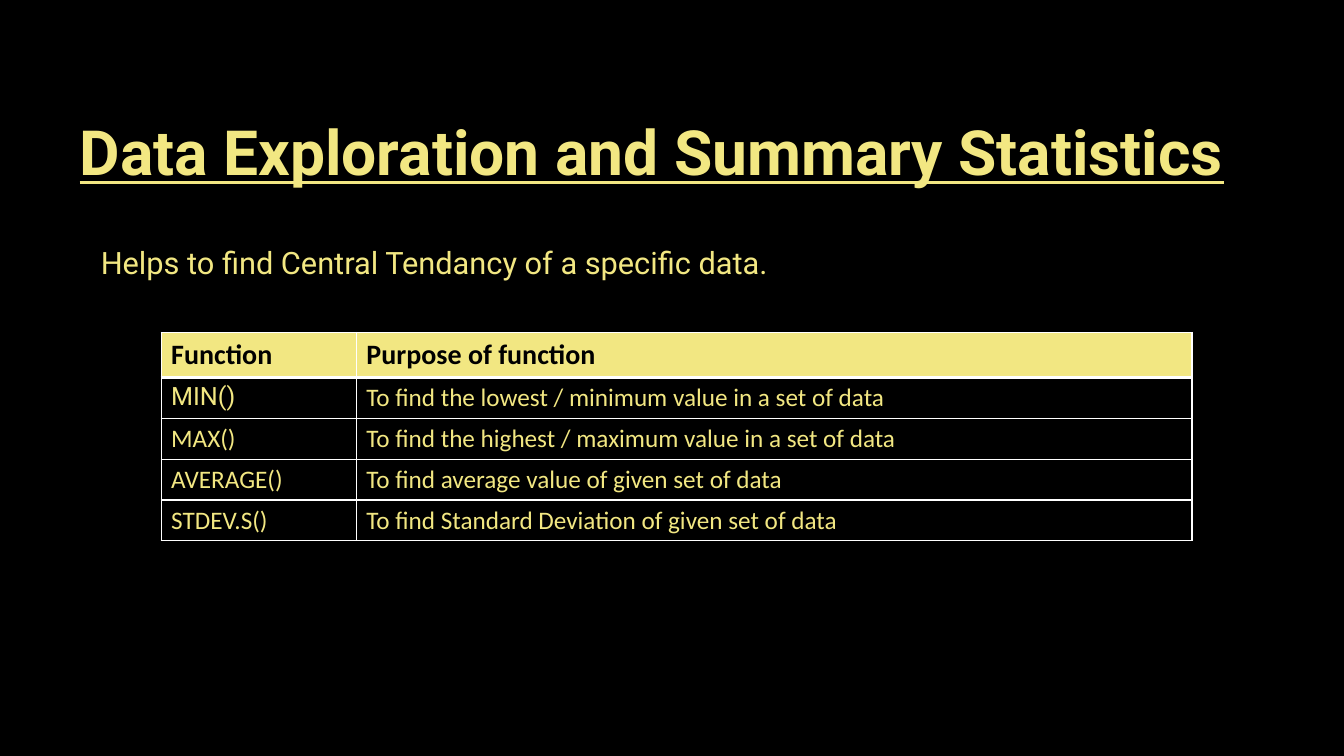
from lxml import etree
from pptx import Presentation
from pptx import util as u
from pptx.dml.color import RGBColor
from pptx.oxml import ns

YELLOW, BLACK, WHITE = "F2E782", "000000", "FFFFFF"
FUNCTIONS = [
    ("Function", "Purpose of function"),
    ("MIN()", "To find the lowest / minimum value in a set of data"),
    ("MAX()", "To find the highest / maximum value in a set of data"),
    ("AVERAGE()", "To find average value of given set of data"),
    ("STDEV.S()", "To find Standard Deviation of given set of data"),
]


def colour(value):
    return RGBColor.from_string(value)


def style(paragraph, face, size, ink, bold=False, underline=False):
    font = paragraph.runs[0].font
    font.name, font.size = face, u.Pt(size)
    font.bold, font.underline = bold, underline
    font.color.rgb = colour(ink)


def add_line_of_text(slide, box, wording, size, leading, **emphasis):
    frame = slide.shapes.add_textbox(*map(u.Cm, box)).text_frame
    frame.margin_left = frame.margin_top = 0
    frame.margin_right = frame.margin_bottom = 0
    frame.word_wrap = False
    frame.text = wording
    frame.paragraphs[0].line_spacing = u.Pt(leading)
    style(frame.paragraphs[0], "Roboto", size, YELLOW, **emphasis)


def set_borders(cell, top, bottom):
    properties = cell._tc.get_or_add_tcPr()
    for side, width in (("L", 1), ("R", 1), ("T", top), ("B", bottom)):
        edge = etree.SubElement(properties, ns.qn(f"a:ln{side}"), w=str(u.Pt(width)))
        fill = etree.SubElement(edge, ns.qn("a:solidFill"))
        etree.SubElement(fill, ns.qn("a:srgbClr"), val=WHITE)


def add_function_table(slide, box):
    left, top, width, height = map(u.Cm, box)
    table = slide.shapes.add_table(len(FUNCTIONS), 2, left, top, width, height).table
    name_width = u.Cm(4.92)
    table.columns[0].width = name_width
    table.columns[1].width = width - name_width
    for row, entries in enumerate(FUNCTIONS):
        header = row == 0
        table.rows[row].height = u.Cm(1.13 if header else 1.03)
        for column, wording in enumerate(entries):
            cell = table.cell(row, column)
            set_borders(cell, top=3 if row == 1 else 1, bottom=3 if header else 1)
            cell.text = wording
            paragraph = cell.text_frame.paragraphs[0]
            if header:
                cell.fill.solid()
                cell.fill.fore_color.rgb = colour(YELLOW)
                style(paragraph, "Calibri", 20, BLACK, bold=True)
            else:
                cell.fill.background()
                face = "Roboto" if wording == "MIN()" else "Calibri"
                style(paragraph, face, 18, YELLOW)


def main():
    deck = Presentation()
    deck.slide_width, deck.slide_height = u.Cm(33.87), u.Cm(19.05)
    slide = deck.slides.add_slide(deck.slide_layouts[6])
    slide.background.fill.solid()
    slide.background.fill.fore_color.rgb = colour(BLACK)
    add_line_of_text(slide, (2.01, 2.79, 29.4, 1.98),
                     "Data Exploration and Summary Statistics", 44.5, 55.5,
                     bold=True, underline=True)
    add_line_of_text(slide, (2.54, 6.1, 29.16, 1.98),
                     "Helps to find Central Tendancy of a specific data.", 22, 27.5)
    add_function_table(slide, (4.06, 8.38, 25.98, 5.25))
    deck.save("out.pptx")


if __name__ == "__main__":
    main()
